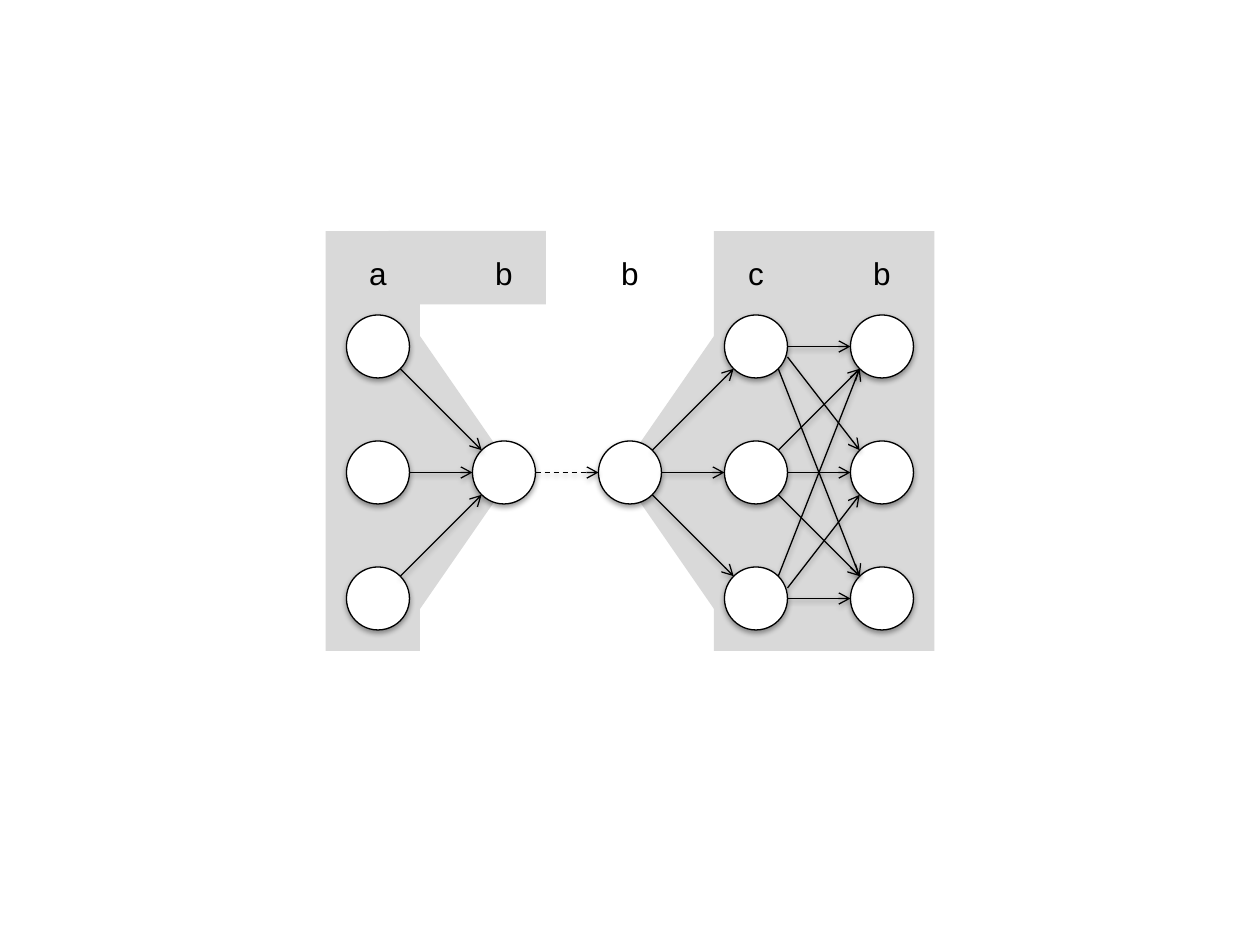
from lxml import etree
from pptx import Presentation
from pptx.dml.color import RGBColor
from pptx.enum.dml import MSO_LINE
from pptx.enum.shapes import MSO_CONNECTOR, MSO_SHAPE
from pptx.enum.text import MSO_ANCHOR, PP_ALIGN
from pptx.oxml import parse_xml
from pptx.oxml.ns import qn
from pptx.util import Pt

RECT = MSO_SHAPE.RECTANGLE
WEDGE = MSO_SHAPE.RIGHT_TRIANGLE
OVAL = MSO_SHAPE.OVAL
STRAIGHT = MSO_CONNECTOR.STRAIGHT
DASH = MSO_LINE.DASH
MIDDLE = MSO_ANCHOR.MIDDLE
CENTER = PP_ALIGN.CENTER

BLACK = RGBColor(0, 0, 0)
WHITE = RGBColor(255, 255, 255)
GREY = RGBColor(217, 217, 217)

PX = 9525
STEP = 96
SIZE = 48
LEFT = 264
TOP = 240
HEAD = 184
EDGE = 24
DIAG = 17
LEAN = 8

SHADOW = (
    '<a:effectLst xmlns:a="http://schemas.openxmlformats.org/drawingml/2006/main">'
    '<a:outerShdw blurRad="40000" dist="20000" dir="5400000" rotWithShape="0">'
    '<a:srgbClr val="000000"><a:alpha val="38000"/></a:srgbClr>'
    '</a:outerShdw></a:effectLst>'
)

BANDS = [(296, 176, 120, 56), (248, 176, 72, 320), (544, 176, 168, 320)]
WEDGES = [
    (304, 376, 270, "hv"),
    (304, 272, 90, "h"),
    (456, 376, 90, "v"),
    (456, 272, 270, ""),
]
LABELS = "abbcb"
NODES = [(0, 0), (0, 1), (0, 2), (1, 1), (2, 1), (4, 0), (4, 1), (4, 2)]
HIDDEN = [(3, row) for row in range(3)]
LINKS = (
    [(0, row, 1) for row in range(3)]
    + [(1, 1, 1)]
    + [(2, 1, row) for row in range(3)]
    + [(3, row, end) for row in range(3) for end in range(3)]
)


def add_form(slide, kind, box, fill=None):
    form = slide.shapes.add_shape(kind, *[n * PX for n in box])
    form.shadow.inherit = False
    form.line.fill.background()
    if fill is None:
        form.fill.background()
    else:
        form.fill.solid()
        form.fill.fore_color.rgb = fill
    return form


def set_line(item):
    item.line.color.rgb = BLACK
    item.line.width = Pt(0.75)


def add_shade(item):
    props = item.element.spPr
    for old in props.findall(qn("a:effectLst")):
        props.remove(old)
    props.append(parse_xml(SHADOW))


def add_wedge(slide, left, top, turn, flip):
    wedge = add_form(slide, WEDGE, (left, top, 104, 72), GREY)
    wedge.rotation = turn
    for axis in flip:
        wedge.element.spPr.xfrm.set("flip" + axis.upper(), "1")


def add_node(slide, col, row):
    box = (LEFT + col * STEP, TOP + row * STEP, SIZE, SIZE)
    node = add_form(slide, OVAL, box, WHITE)
    set_line(node)
    add_shade(node)


def add_link(slide, col, row, end):
    way = (end > row) - (end < row)
    out = (DIAG, DIAG) if way else (EDGE, 0)
    start = (EDGE, LEAN) if col == 3 and way and end == 1 else out
    x = LEFT + EDGE + col * STEP
    y = TOP + EDGE
    ends = (
        x + start[0],
        y + row * STEP + way * start[1],
        x + STEP - out[0],
        y + end * STEP - way * out[1],
    )
    link = slide.shapes.add_connector(STRAIGHT, *[n * PX for n in ends])
    set_line(link)
    if col == 1:
        link.line.dash_style = DASH
    line = link.element.spPr.get_or_add_ln()
    etree.SubElement(line, qn("a:tailEnd")).set("type", "arrow")
    add_shade(link)


def add_label(slide, col, text):
    label = add_form(slide, OVAL, (LEFT + col * STEP, HEAD, SIZE, SIZE))
    frame = label.text_frame
    frame.margin_left = frame.margin_right = 0
    frame.margin_top = frame.margin_bottom = 0
    frame.vertical_anchor = MIDDLE
    frame.text = text
    para = frame.paragraphs[0]
    para.alignment = CENTER
    font = para.runs[0].font
    font.name = "Arial"
    font.size = Pt(18)
    font.color.rgb = BLACK


def main():
    deck = Presentation()
    deck.slide_width = 960 * PX
    deck.slide_height = 720 * PX
    slide = deck.slides.add_slide(deck.slide_layouts[6])
    for box in BANDS:
        add_form(slide, RECT, box, GREY)
    for wedge in WEDGES:
        add_wedge(slide, *wedge)
    for node in NODES:
        add_node(slide, *node)
    for link in LINKS:
        add_link(slide, *link)
    for node in HIDDEN:
        add_node(slide, *node)
    for col, text in enumerate(LABELS):
        add_label(slide, col, text)
    deck.save("out.pptx")


if __name__ == "__main__":
    main()
